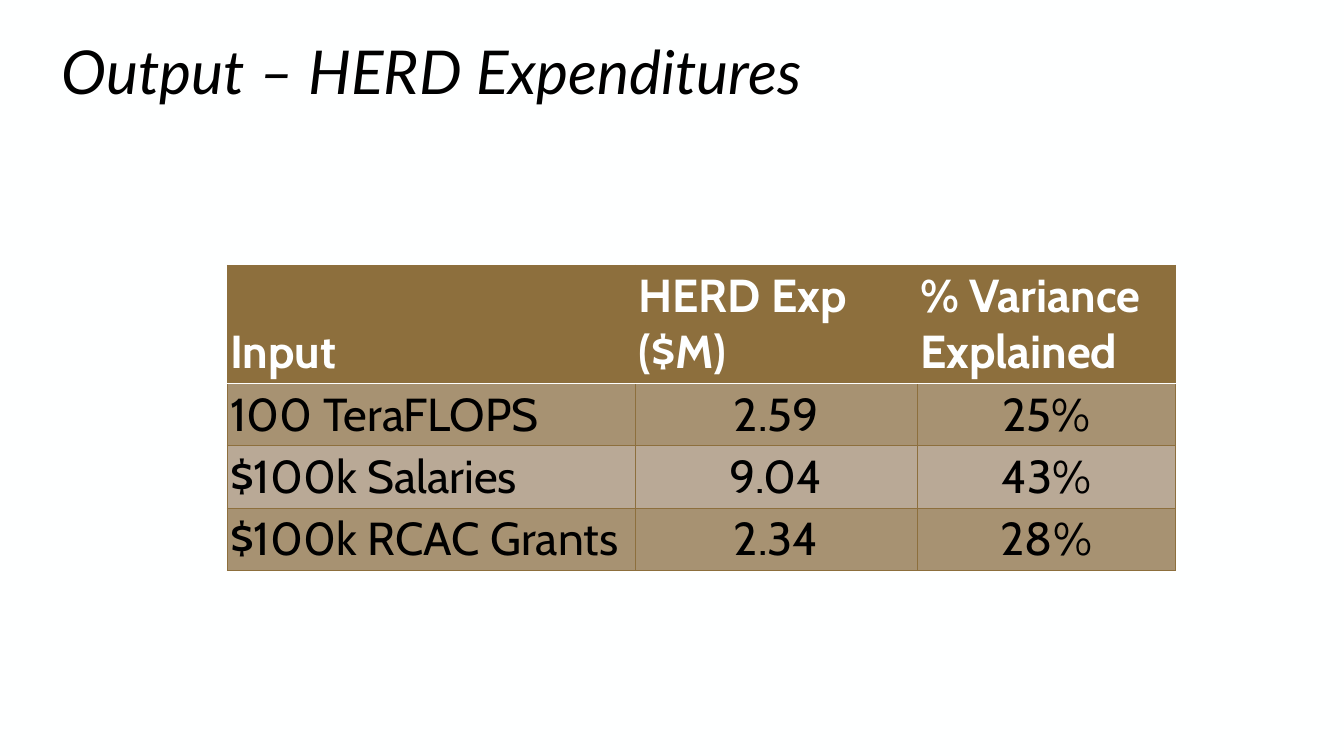
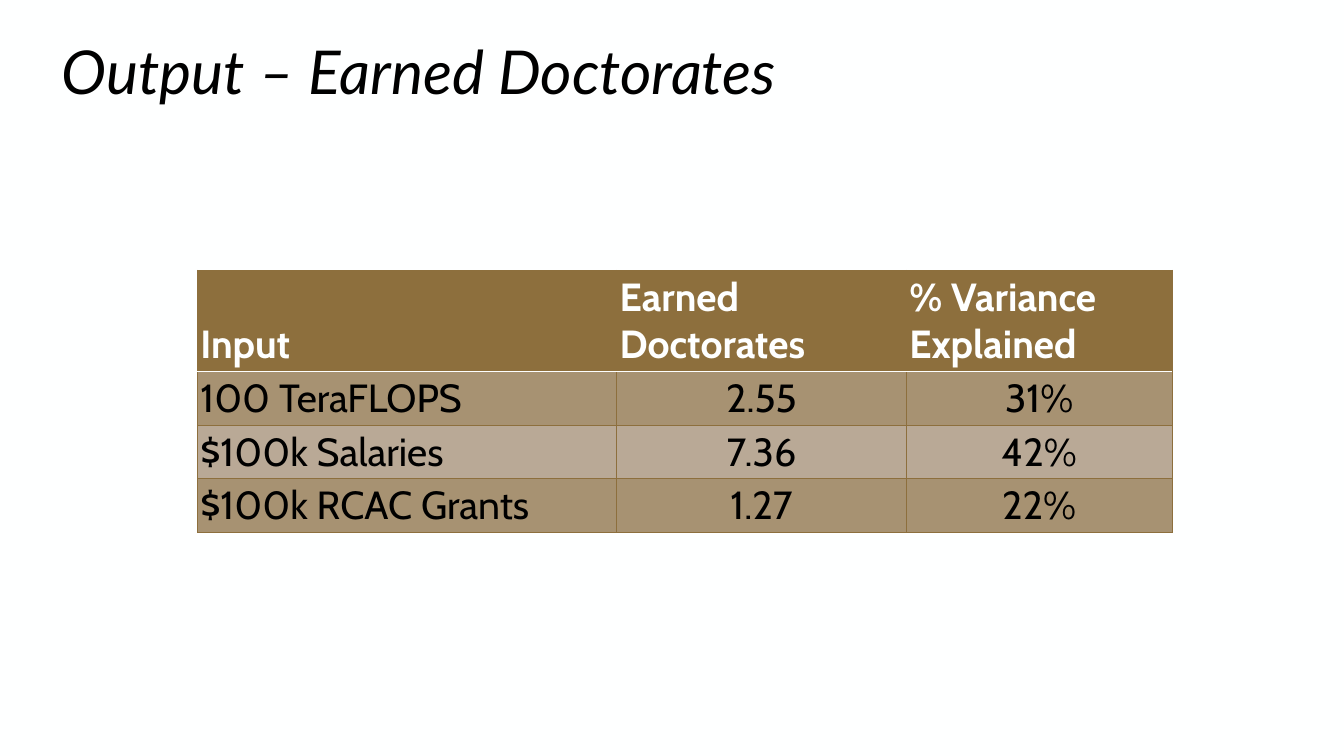
from lxml import etree
from pptx import Presentation
from pptx.dml.color import RGBColor
from pptx.enum import text
from pptx.oxml import ns
from pptx.util import Pt

PAPER = RGBColor(0xFE, 0xFF, 0xFF)
INK = RGBColor(0x00, 0x00, 0x00)
BRONZE = RGBColor(0x8D, 0x6F, 0x3D)
DARK_BAND = RGBColor(0xA7, 0x92, 0x72)
LIGHT_BAND = RGBColor(0xB9, 0xA9, 0x96)

TITLE_BOX = (36.7, 30.2, 887, 46.1)
TITLE_FRAME = {"vertical_anchor": text.MSO_ANCHOR.MIDDLE, "word_wrap": True,
               "auto_size": text.MSO_AUTO_SIZE.NONE}
TITLE_PARAGRAPH = {"alignment": text.PP_ALIGN.LEFT, "line_spacing": 0.9}
TITLE_FONT = {"name": "Lato", "size": Pt(43.2), "italic": True, "bold": False}

INSET = 2.16
LINE_FACTOR = 1.215
CELL_FORMAT = {"vertical_anchor": text.MSO_ANCHOR.BOTTOM,
               "margin_left": Pt(INSET), "margin_right": Pt(INSET),
               "margin_top": Pt(INSET), "margin_bottom": Pt(INSET)}

INPUTS = ("100 TeraFLOPS", "$100k Salaries", "$100k RCAC Grants")
OUTPUTS = (
    {"title": "Output – HERD Expenditures", "measure": "HERD Exp ($M)",
     "effects": ("2.59", "9.04", "2.34"), "variances": ("25%", "43%", "28%"),
     "corner": (162.3, 189.4), "columns": (291.6, 201.2, 184.6), "size": 33},
    {"title": "Output – Earned Doctorates", "measure": "Earned Doctorates",
     "effects": ("2.55", "7.36", "1.27"), "variances": ("31%", "42%", "22%"),
     "corner": (141, 193), "columns": (299.5, 206.9, 189.8), "size": 28},
)


def apply(target, values):
    for name, value in values.items():
        setattr(target, name, value)


def style_font(font, color, values):
    apply(font, values)
    font.color.rgb = color


def add_title(slide, box, wording):
    title = slide.shapes.title
    apply(title, dict(zip(("left", "top", "width", "height"), map(Pt, box))))
    frame = title.text_frame
    frame.text = wording
    apply(frame, TITLE_FRAME)
    paragraph = frame.paragraphs[0]
    apply(paragraph, TITLE_PARAGRAPH)
    style_font(paragraph.runs[0].font, INK, TITLE_FONT)


def add_border(cell, side, color, width):
    line = etree.SubElement(cell._tc.get_or_add_tcPr(), ns.qn(f"a:ln{side}"),
                            w=str(Pt(width)))
    fill = etree.SubElement(line, ns.qn("a:solidFill"))
    etree.SubElement(fill, ns.qn("a:srgbClr"), val=str(color))


def fill_cell(cell, wording, row, column, size):
    header = row == 0
    apply(cell, CELL_FORMAT)
    rules = {side: (BRONZE, 0.5) for side in "LRTB"}
    if row < 2:
        rules["B" if header else "T"] = (PAPER, 1)
    for side, rule in rules.items():
        add_border(cell, side, *rule)
    cell.fill.solid()
    band = DARK_BAND if row % 2 else LIGHT_BAND
    cell.fill.fore_color.rgb = BRONZE if header else band
    cell.text = wording
    paragraph = cell.text_frame.paragraphs[0]
    centred = not header and column > 0
    paragraph.alignment = text.PP_ALIGN.CENTER if centred else text.PP_ALIGN.LEFT
    style_font(paragraph.runs[0].font, PAPER if header else INK,
               {"name": "Cabin", "size": Pt(size), "bold": header})


def add_results(slide, corner, columns, rows, size):
    line = size * LINE_FACTOR
    heights = [line * (1 if row else 2) + 2 * INSET for row in range(len(rows))]
    box = (*corner, sum(columns), sum(heights))
    results = slide.shapes.add_table(len(rows), len(columns), *map(Pt, box)).table
    results.horz_banding = False
    for column, width in zip(results.columns, columns):
        column.width = Pt(width)
    for row, height in zip(results.rows, heights):
        row.height = Pt(height)
    for r, wordings in enumerate(rows):
        for c, wording in enumerate(wordings):
            fill_cell(results.cell(r, c), wording, r, c, size)


def add_output_slide(deck, output):
    slide = deck.slides.add_slide(deck.slide_layouts[5])
    add_title(slide, TITLE_BOX, output["title"])
    rows = [("Input", output["measure"], "% Variance Explained"),
            *zip(INPUTS, output["effects"], output["variances"])]
    add_results(slide, output["corner"], output["columns"], rows, output["size"])


def main():
    deck = Presentation()
    apply(deck, {"slide_width": Pt(960), "slide_height": Pt(540)})
    backdrop = deck.slide_master.background.fill
    backdrop.solid()
    backdrop.fore_color.rgb = PAPER
    for output in OUTPUTS:
        add_output_slide(deck, output)
    deck.save("out.pptx")


if __name__ == "__main__":
    main()
